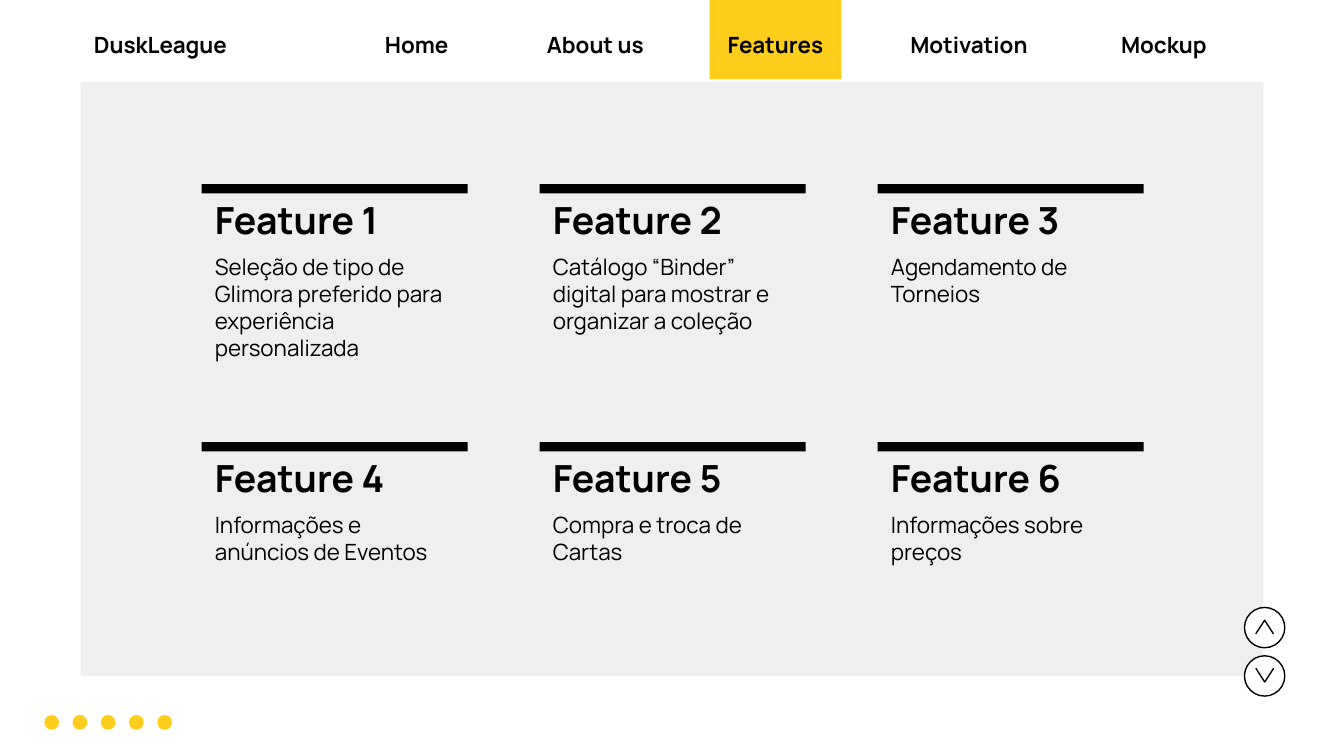
from pptx import Presentation
from pptx.dml.color import RGBColor
from pptx.enum.shapes import MSO_SHAPE as Shape
from pptx.enum.text import MSO_ANCHOR as Anchor, PP_ALIGN as Align
from pptx.util import Emu, Pt

PX = 4572
FONT = "Manrope"
BLACK, WHITE, GRAY, YELLOW = "000000", "FFFFFF", "EFEFEF", "FFCE1C"
INSET = 20

NAV_TABS = [
    ("Home", 522, 196),
    ("About us", 788, 196),
    ("Features", 1056, 196),
    ("Motivation", 1322, 240),
    ("Mockup", 1634, 196),
]
FEATURES = [
    "Seleção de tipo de Glimora preferido para experiência personalizada",
    "Catálogo “Binder” digital para mostrar e organizar a coleção",
    "Agendamento de Torneios",
    "Informações e anúncios de Eventos",
    "Compra e troca de Cartas",
    "Informações sobre preços",
]


def px(count):
    return Emu(count * PX)


def color(value):
    return RGBColor.from_string(value)


def add_block(page, kind, left, top, width, height, fill, line=None):
    block = page.shapes.add_shape(kind, px(left), px(top), px(width), px(height))
    block.shadow.inherit = False
    block.fill.solid()
    block.fill.fore_color.rgb = color(fill)
    if line:
        block.line.color.rgb = color(line)
        block.line.width = Pt(0.75)
    else:
        block.line.fill.background()
    return block


def add_text(page, text, left, top, width, height, size=12, bold=False,
             anchor=Anchor.TOP, align=Align.LEFT):
    box = page.shapes.add_textbox(px(left), px(top), px(width), px(height))
    frame = box.text_frame
    frame.word_wrap = True
    frame.vertical_anchor = anchor
    frame.margin_left = frame.margin_right = px(INSET)
    frame.margin_top = frame.margin_bottom = px(INSET)
    para = frame.paragraphs[0]
    para.alignment = align
    span = para.add_run()
    span.text = text
    span.font.name = FONT
    span.font.size = Pt(size)
    span.font.bold = bold
    span.font.color.rgb = color(BLACK)


def add_feature(page, index, description):
    row, column = divmod(index, 3)
    left, top = 300 + column * 503, 274 + row * 384
    add_block(page, Shape.RECTANGLE, left, top, 396, 14, BLACK)
    add_text(page, f"Feature {index + 1}", left, top, 396, 106, 20, True, Anchor.BOTTOM)
    add_text(page, description, left, top + 83, 396, 192)


def add_navigation(page):
    add_block(page, Shape.RECTANGLE, 1056, -4, 196, 122, YELLOW)
    add_text(page, "DuskLeague", 120, 46, 396, 42, bold=True, anchor=Anchor.MIDDLE)
    for label, left, width in NAV_TABS:
        add_text(page, label, left, 46, width, 42, bold=True,
                 anchor=Anchor.MIDDLE, align=Align.CENTER)


def add_arrow_button(page, top, rotation):
    button = add_block(page, Shape.ROUNDED_RECTANGLE, 1852, top, 60, 60, WHITE, BLACK)
    button.adjustments[0] = 0.5
    arrow = add_block(page, Shape.CHEVRON, 1872, top + 16, 20, 26, BLACK, BLACK)
    arrow.adjustments[0] = 2
    arrow.rotation = rotation


def main():
    deck = Presentation()
    deck.slide_width, deck.slide_height = px(2000), px(1125)
    page = deck.slides.add_slide(deck.slide_layouts[6])
    add_block(page, Shape.RECTANGLE, 120, 122, 1760, 884, GRAY)
    for index in range(5):
        add_block(page, Shape.OVAL, 66 + index * 42, 1064, 22, 22, YELLOW)
    for index, description in enumerate(FEATURES):
        add_feature(page, index, description)
    add_arrow_button(page, 904, 270)
    add_arrow_button(page, 976, 90)
    add_navigation(page)
    deck.save("out.pptx")


if __name__ == "__main__":
    main()
